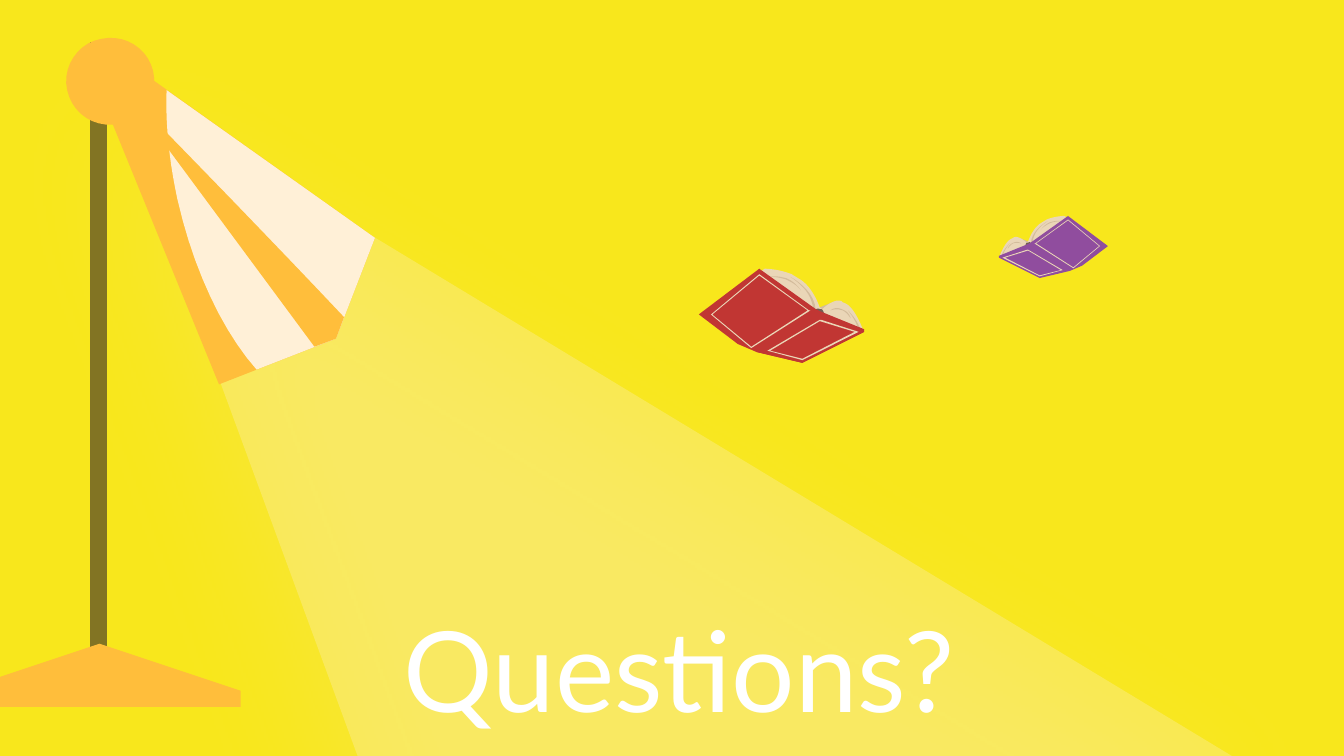
import pptx
import pptx.dml.color
import pptx.enum.shapes
import pptx.enum.text
import pptx.oxml
import pptx.oxml.ns
import pptx.util

RGB = pptx.dml.color.RGBColor
Pt = pptx.util.Pt

YELLOW = RGB(0xF8, 0xE7, 0x1C)
CREAM = RGB(0xFF, 0xF0, 0xD7)
ORANGE = RGB(0xFF, 0xBE, 0x3B)
OLIVE = RGB(0x82, 0x74, 0x23)
PAPER = RGB(0xEA, 0xD6, 0xB7)
PAGE_EDGE = RGB(0xD3, 0xBC, 0x9C)
HINGE = RGB(0x72, 0x5D, 0x52)
RED = RGB(0xC1, 0x36, 0x33)
PURPLE = RGB(0x90, 0x4D, 0x9E)
WHITE = RGB(0xFF, 0xFF, 0xFF)

FONT = "Lato"
UNIT = 0.72    # points per drawing unit
STEPS = 10     # line segments per curve

# Outlines: M = move, L = line, C = cubic curve, Z = close
LAMP = [
    (OLIVE, "M 80 31 L 80 500 L 67 500 L 67 31 Z"),
    (ORANGE, "M 279 177 L 250 252 L 163 286 L 69 56 L 99 49 Z"),
    (CREAM, "M 279 177 L 250 252 L 191 275 C 166 247 144 201 132 148 "
            "C 126 120 123 92 124 67 Z"),
    (ORANGE, "M 74 479 L 179 514 L 179 526 L -31 526 L -31 514 Z"),
    (ORANGE, "M 256 236 L 250 252 L 234 258 L 92 66 C 92 66 195 171 256 236 Z"),
    (ORANGE, "M 114 53 C 118 71 107 88 89 92 C 71 96 54 85 50 67 "
             "C 46 50 58 32 75 29 C 93 25 110 36 114 53 Z"),
]

PAGES = [
    (PAGE_EDGE, "M 122 24 L 127 38 L 94 35 Z"),
    (PAPER, "M 89 4 C 92 6 94 7 97 9 C 106 16 110 29 110 29 L 112 30 "
            "C 112 30 120 22 126 24 C 127 25 127 25 127 25 "
            "C 131 26 136 30 142 45 L 91 53 L 35 24 L 69 0 C 69 0 79 0 89 4 Z"),
    (PAGE_EDGE, "M 131 31 C 131 31 138 38 140 45 L 138 44 C 138 40 131 31 131 31 Z"),
    (PAGE_EDGE, "M 126 30 C 129 31 132 33 133 37 C 131 34 129 32 127 31 "
                "C 124 30 121 30 118 31 C 120 29 124 29 126 30 Z"),
    (PAGE_EDGE, "M 88 6 C 88 6 106 15 107 31 L 105 30 C 104 19 97 12 88 6 Z"),
    (PAGE_EDGE, "M 85 7 C 90 9 93 12 96 16 C 93 12 89 10 85 8 "
                "C 82 7 78 6 73 6 C 77 5 81 6 85 7 Z"),
    (HINGE, "M 111 30 C 112 30 113 32 113 33 C 113 34 112 35 110 34 "
            "C 108 34 108 33 107 31 C 107 30 108 29 110 30 Z"),
]
COVER = "M 65 0 L 107 30 L 111 32 L 143 45 L 143 47 L 97 70 L 63 62 L 49 56 L 20 34 Z"
FLAP = "M 143 47 L 97 70 L 63 62 L 110 34 Z"
LARGE_FRAME = ("M 65 5 L 30 34 L 59 58 L 101 31 Z "
               "M 65 4 L 102 31 L 103 31 L 59 59 L 29 34 Z")
SMALL_FRAME = ("M 136 47 L 110 39 L 73 61 L 97 67 Z "
               "M 139 47 L 97 68 L 71 61 L 110 38 L 111 38 Z")


def contours(outline):
    """Turn an outline into lists of points, with curves cut into segments."""
    result, tokens = [], iter(outline.split())

    def point():
        return float(next(tokens)), float(next(tokens))

    for command in tokens:
        if command == "M":
            result.append([point()])
        elif command == "L":
            result[-1].append(point())
        elif command == "C":
            curve = [result[-1][-1], point(), point(), point()]
            for i in range(1, STEPS + 1):
                t = i / STEPS
                weights = ((1 - t) ** 3, 3 * t * (1 - t) ** 2,
                           3 * t * t * (1 - t), t ** 3)
                result[-1].append(tuple(sum(w * q[axis] for w, q in zip(weights, curve))
                                        for axis in (0, 1)))
    return result


def write(tf, text, size=18, color=WHITE, font=FONT, align=None):
    p = tf.paragraphs[0]
    p.alignment = align
    r = p.add_run()
    r.text = text
    r.font.size, r.font.name, r.font.color.rgb = Pt(size), font, color


class Canvas:
    def __init__(self, s):
        self.s = s

    def paint(self, sp, color):
        sp.shadow.inherit = False
        sp.fill.solid()
        sp.fill.fore_color.rgb = color
        sp.line.fill.background()

    def beam(self, x, y, w, h, rotation, color, alpha):
        sp = self.s.shapes.add_shape(pptx.enum.shapes.MSO_SHAPE.ISOSCELES_TRIANGLE,
                                     Pt(x), Pt(y), Pt(w), Pt(h))
        sp.rotation = rotation
        self.paint(sp, color)
        qn = pptx.oxml.ns.qn
        clr = sp._element.spPr.find(qn("a:solidFill")).find(qn("a:srgbClr"))
        clr.append(pptx.oxml.parse_xml(
            f'<a:alpha {pptx.oxml.ns.nsdecls("a")} val="{alpha * 1000}"/>'))
        # Soft glow straight below the beam
        sp._element.spPr.find(qn("a:effectLst")).append(pptx.oxml.parse_xml(
            f'<a:outerShdw {pptx.oxml.ns.nsdecls("a")} blurRad="{Pt(73.1)}" '
            f'dist="{Pt(28.5)}" dir="5400000" algn="bl" rotWithShape="0">'
            f'<a:srgbClr val="{color}"><a:alpha val="50000"/></a:srgbClr></a:outerShdw>'))

    def text(self, x, y, w, h, text, **style):
        tf = self.s.shapes.add_textbox(Pt(x), Pt(y), Pt(w), Pt(h)).text_frame
        tf.word_wrap = True
        tf.vertical_anchor = pptx.enum.text.MSO_ANCHOR.MIDDLE
        tf.margin_left = tf.margin_right = tf.margin_top = tf.margin_bottom = Pt(7.2)
        write(tf, text, **style)

    def drawing(self, parts, x=0, y=0, sx=1, sy=1):
        """Draw outlines as one group, moved by x, y and scaled by sx, sy."""
        group = self.s.shapes.add_group_shape()
        for color, outline in parts:
            builder = None
            for contour in contours(outline):
                points = [(Pt(UNIT * (x + sx * px)), Pt(UNIT * (y + sy * py)))
                          for px, py in contour]
                if builder is None:
                    builder = group.shapes.build_freeform(*points[0], scale=1.0)
                else:
                    builder.move_to(*points[0])
                builder.add_line_segments(points[1:], close=True)
            self.paint(builder.convert_to_shape(), color)

    def book(self, color, flap=False, **place):
        parts = PAGES + [(color, COVER), (PAPER, LARGE_FRAME)]
        if flap:
            parts.append((color, FLAP))
        self.drawing(parts + [(PAPER, SMALL_FRAME)], **place)


def main():
    prs = pptx.Presentation()
    prs.slide_width, prs.slide_height = Pt(720), Pt(405)
    s = prs.slides.add_slide(prs.slide_layouts[6])
    s.background.fill.solid()
    s.background.fill.fore_color.rgb = YELLOW
    canvas = Canvas(s)

    # Light and title
    canvas.beam(36, -35.3, 466.6, 665.3, 320.5, CREAM, 28)
    canvas.text(159.1, 303.8, 409.7, 108, "Questions?", size=60,
                align=pptx.enum.text.PP_ALIGN.CENTER)

    # Lamp
    canvas.drawing(LAMP)

    # Flying books, the purple one smaller and mirrored
    canvas.book(RED, flap=True, x=500, y=200)
    canvas.book(PURPLE, x=837.6, y=160.7, sx=-0.66, sy=0.66)

    prs.save("out.pptx")


if __name__ == "__main__":
    main()
